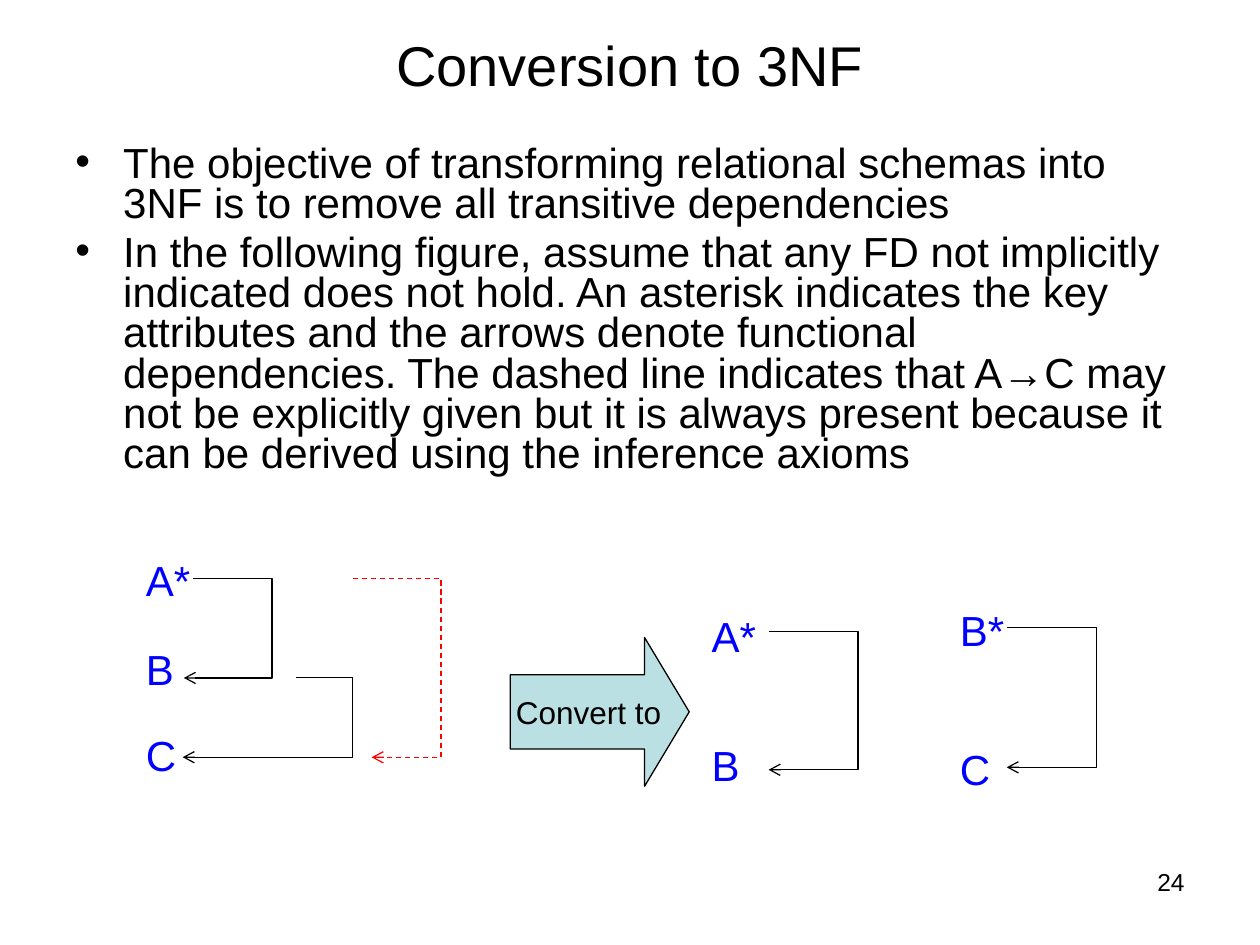
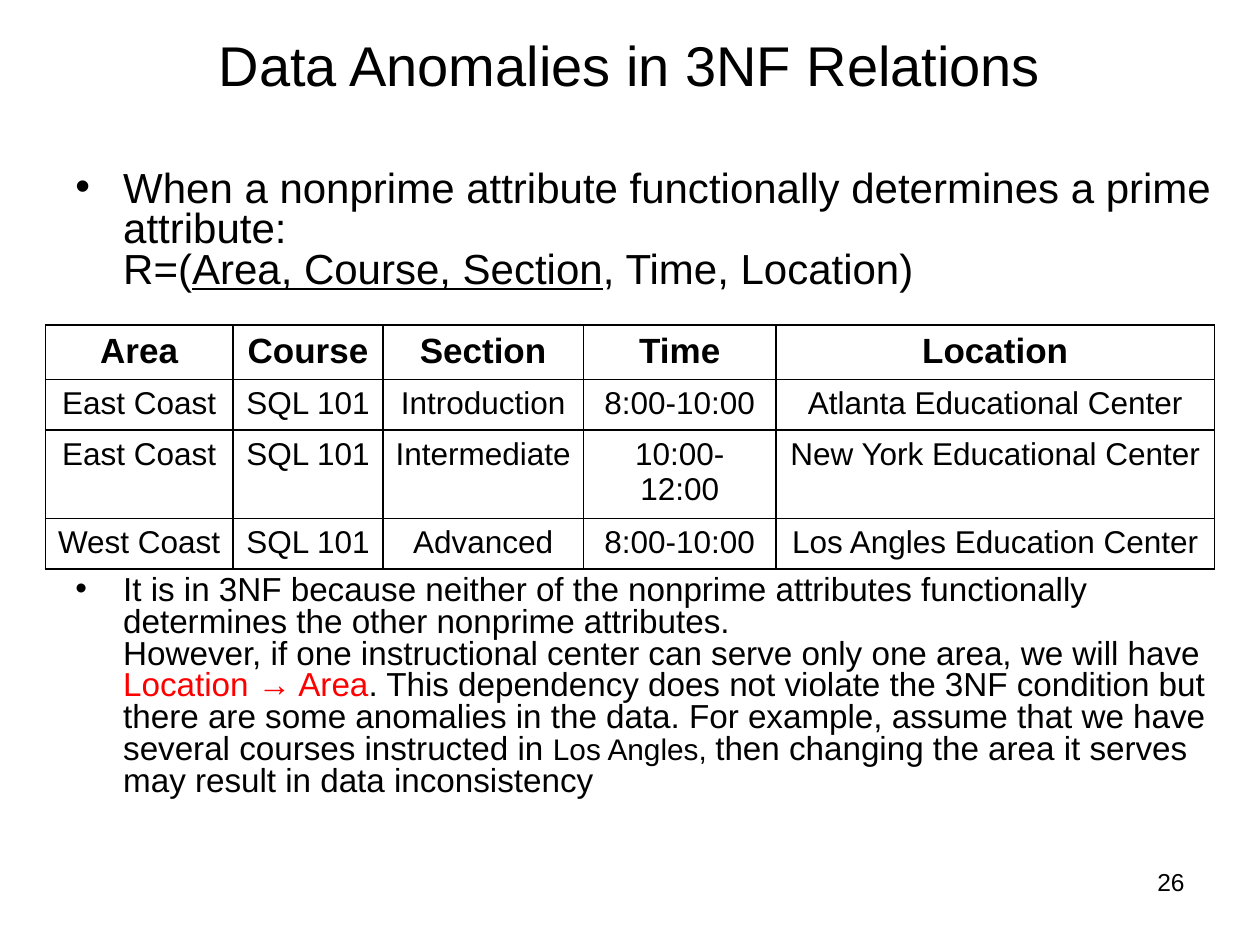
"""Two lecture slides on third normal form, with a dependency figure and a table."""
from dataclasses import dataclass
from typing import NamedTuple

from lxml import etree
from pptx import Presentation
from pptx.dml.color import RGBColor
from pptx.enum import dml, shapes, text
from pptx.oxml import ns
from pptx.util import Inches, Pt

COLORS = {"ink": "000000", "attribute": "0000FF", "alert": "FF0000",
          "arrow": "BBE0E3", "paper": "FFFFFF"}
FONT = "Arial"
BULLET_INDENT = 0.38
CENTER, RIGHT = text.PP_ALIGN.CENTER, text.PP_ALIGN.RIGHT


class Run(NamedTuple):
    """A stretch of text that may differ from the rest of its paragraph."""
    words: str
    size: float | None = None
    color: str | None = None
    underline: bool = False


class Attribute(NamedTuple):
    """An attribute name in the dependency figure."""
    name: str
    left: float
    top: float


@dataclass(frozen=True)
class Dependency:
    """A bracket from one attribute to another, with an arrowhead at its end."""
    start: float
    top: float
    elbow: float
    end: float
    bottom: float
    color: str = "ink"
    dashed: bool = False


def rgb(color: str) -> RGBColor:
    """Look up a named colour."""
    return RGBColor.from_string(COLORS[color])


def add_xml(parent, tag: str, **attributes: str):
    """Append a drawing element to parent."""
    return etree.SubElement(parent, ns.qn(tag), attributes)


def write(frame, paragraphs, *, size: float = 24, color: str = "ink", bold: bool = False,
          align=None, anchor=None, wrap: bool = True, bullets: bool = False) -> None:
    """Fill a text frame; each paragraph is a string or a list of runs."""
    frame.word_wrap = wrap
    if anchor is not None:
        frame.vertical_anchor = anchor
    for index, runs in enumerate(paragraphs):
        paragraph = frame.add_paragraph() if index else frame.paragraphs[0]
        paragraph.alignment = align
        if bullets:
            add_bullet(paragraph, size)
        for part in [Run(runs)] if isinstance(runs, str) else runs:
            for number, line in enumerate(part.words.split("\n")):
                if number:
                    paragraph.add_line_break()
                run = paragraph.add_run()
                run.text = line
                font = run.font
                font.name, font.size, font.bold = FONT, Pt(part.size or size), bold
                font.color.rgb = rgb(part.color or color)
                if part.underline:
                    font.underline = True


def add_bullet(paragraph, size: float) -> None:
    """Give a paragraph its bullet, hanging indent and tight spacing."""
    paragraph.line_spacing = 0.8
    paragraph.space_before = Pt(0.2 * size)
    properties = paragraph._p.get_or_add_pPr()
    properties.set("marL", str(Inches(BULLET_INDENT)))
    properties.set("indent", str(-Inches(BULLET_INDENT)))
    add_xml(properties, "a:buFont", typeface=FONT)
    add_xml(properties, "a:buChar", char="•")


def add_text(slide, left: float, top: float, width: float, height: float,
             paragraphs, **style) -> None:
    """Add a text box at a place given in inches."""
    box = slide.shapes.add_textbox(Inches(left), Inches(top), Inches(width), Inches(height))
    write(box.text_frame, paragraphs, **style)


def add_slide(deck, title: str, number: int):
    """Add a slide with its title and page number."""
    slide = deck.slides.add_slide(deck.slide_layouts[6])
    slide.background.fill.solid()
    slide.background.fill.fore_color.rgb = rgb("paper")
    add_text(slide, 7.17, 6.83, 2.33, 0.52, [str(number)], size=14, align=RIGHT)
    add_text(slide, 0.5, 0.16, 9, 0.69, [title], size=32, align=CENTER,
             anchor=text.MSO_ANCHOR.MIDDLE)
    return slide


def add_dependency(slide, link: Dependency) -> None:
    """Draw one functional dependency as an open bracket."""
    builder = slide.shapes.build_freeform(Inches(link.start), Inches(link.top))
    corners = [(link.elbow, link.top), (link.elbow, link.bottom), (link.end, link.bottom)]
    builder.add_line_segments([(Inches(x), Inches(y)) for x, y in corners], close=False)
    bracket = builder.convert_to_shape()
    bracket.shadow.inherit = False
    bracket.fill.background()
    bracket.line.color.rgb = rgb(link.color)
    bracket.line.width = Pt(0.75)
    if link.dashed:
        bracket.line.dash_style = dml.MSO_LINE.DASH
    add_xml(bracket.line._get_or_add_ln(), "a:tailEnd", type="arrow")


def add_convert_arrow(slide) -> None:
    """Draw the block arrow between the two halves of the figure."""
    arrow = slide.shapes.add_shape(shapes.MSO_SHAPE.RIGHT_ARROW, Inches(4.05), Inches(5.06),
                                   Inches(1.42), Inches(1.18))
    arrow.adjustments[0], arrow.adjustments[1] = 0.5, 0.3
    arrow.shadow.inherit = False
    arrow.fill.solid()
    arrow.fill.fore_color.rgb = rgb("arrow")
    arrow.line.color.rgb = rgb("ink")
    arrow.line.width = Pt(0.75)
    write(arrow.text_frame, ["Convert to"], size=18, align=CENTER,
          anchor=text.MSO_ANCHOR.MIDDLE, wrap=False)


def add_border(cell) -> None:
    """Rule all four sides of a table cell."""
    properties = cell._tc.get_or_add_tcPr()
    for side in "LRTB":
        line = add_xml(properties, f"a:ln{side}", w=str(Pt(1)))
        add_xml(add_xml(line, "a:solidFill"), "a:srgbClr", val=COLORS["ink"])


def add_grid(slide, left: float, top: float, widths, heights, rows) -> None:
    """Add a ruled table with a bold header row."""
    grid = slide.shapes.add_table(len(rows), len(widths), Inches(left), Inches(top),
                                  Inches(sum(widths)), Inches(sum(heights))).table
    grid.first_row = grid.horz_banding = False
    for column, width in zip(grid.columns, widths):
        column.width = Inches(width)
    for index, (height, values) in enumerate(zip(heights, rows)):
        grid.rows[index].height = Inches(height)
        header = index == 0
        for cell, value in zip(grid.rows[index].cells, values):
            add_border(cell)
            cell.fill.background()
            write(cell.text_frame, [value], size=20 if header else 18, bold=header,
                  align=CENTER)


CONVERSION_POINTS = [
    "The objective of transforming relational schemas into 3NF is to remove all "
    "transitive dependencies",
    "In the following figure, assume that any FD not implicitly indicated does not hold. "
    "An asterisk indicates the key attributes and the arrows denote functional "
    "dependencies. The dashed line indicates that A→C may not be explicitly given but it "
    "is always present because it can be derived using the inference axioms",
]
ATTRIBUTES = [
    Attribute("A*", 1.06, 4.35), Attribute("B", 1.06, 5.06), Attribute("C", 1.06, 5.74),
    Attribute("A*", 5.55, 4.8), Attribute("B", 5.55, 5.82),
    Attribute("B*", 7.52, 4.75), Attribute("C", 7.52, 5.85),
]
DEPENDENCIES = [
    Dependency(2.35, 5.38, 2.8, 1.45, 6.01),
    Dependency(7.99, 4.98, 8.7, 7.99, 6.09),
    Dependency(1.53, 4.59, 2.16, 1.46, 5.38),
    Dependency(2.8, 4.59, 3.5, 2.95, 6.01, "alert", dashed=True),
    Dependency(6.1, 5.01, 6.81, 6.1, 6.11),
]
RELATION_POINT = [
    Run("When a nonprime attribute functionally determines a prime attribute:\nR=("),
    Run("Area, Course, Section", underline=True),
    Run(", Time, Location)"),
]
ANOMALY_POINT = [
    Run("It is in 3NF because neither of the nonprime attributes functionally determines "
        "the other nonprime attributes. \nHowever, if one instructional center can serve "
        "only one area, we will have "),
    Run("Location → Area", color="alert"),
    Run(". This dependency does not violate the 3NF condition but there are some anomalies "
        "in the data. For example, assume that we have several courses instructed in "),
    Run("Los Angles, ", size=17),
    Run("then changing the area it serves may result in data inconsistency"),
]
COURSES = [
    ("Area", "Course", "Section", "Time", "Location"),
    ("East Coast", "SQL 101", "Introduction", "8:00-10:00", "Atlanta Educational Center"),
    ("East Coast", "SQL 101", "Intermediate", "10:00-12:00", "New York Educational Center"),
    ("West Coast", "SQL 101", "Advanced", "8:00-10:00", "Los Angles Education Center"),
]


def build_conversion(deck) -> None:
    """Build the slide on converting a schema to 3NF."""
    slide = add_slide(deck, "Conversion to 3NF", 24)
    add_text(slide, 0.5, 1.11, 9, 3.06, CONVERSION_POINTS, bullets=True)
    for attribute in ATTRIBUTES:
        add_text(slide, attribute.left, attribute.top, 0.71, 0.5, [attribute.name],
                 color="attribute")
    add_convert_arrow(slide)
    for link in DEPENDENCIES:
        add_dependency(slide, link)


def build_anomalies(deck) -> None:
    """Build the slide on anomalies that remain in 3NF."""
    slide = add_slide(deck, "Data Anomalies in 3NF Relations", 26)
    add_text(slide, 0.5, 1.31, 9.23, 1.2, [RELATION_POINT], bullets=True)
    add_text(slide, 0.5, 4.52, 9.23, 1.9, [ANOMALY_POINT], size=19, bullets=True)
    add_grid(slide, 0.36, 2.58, [1.49, 1.19, 1.59, 1.53, 3.48], [0.43, 0.4] * 2, COURSES)


def main() -> None:
    """Build and save the deck."""
    deck = Presentation()
    deck.slide_width, deck.slide_height = Inches(10), Inches(7.5)
    build_conversion(deck)
    build_anomalies(deck)
    deck.save("out.pptx")


main()
